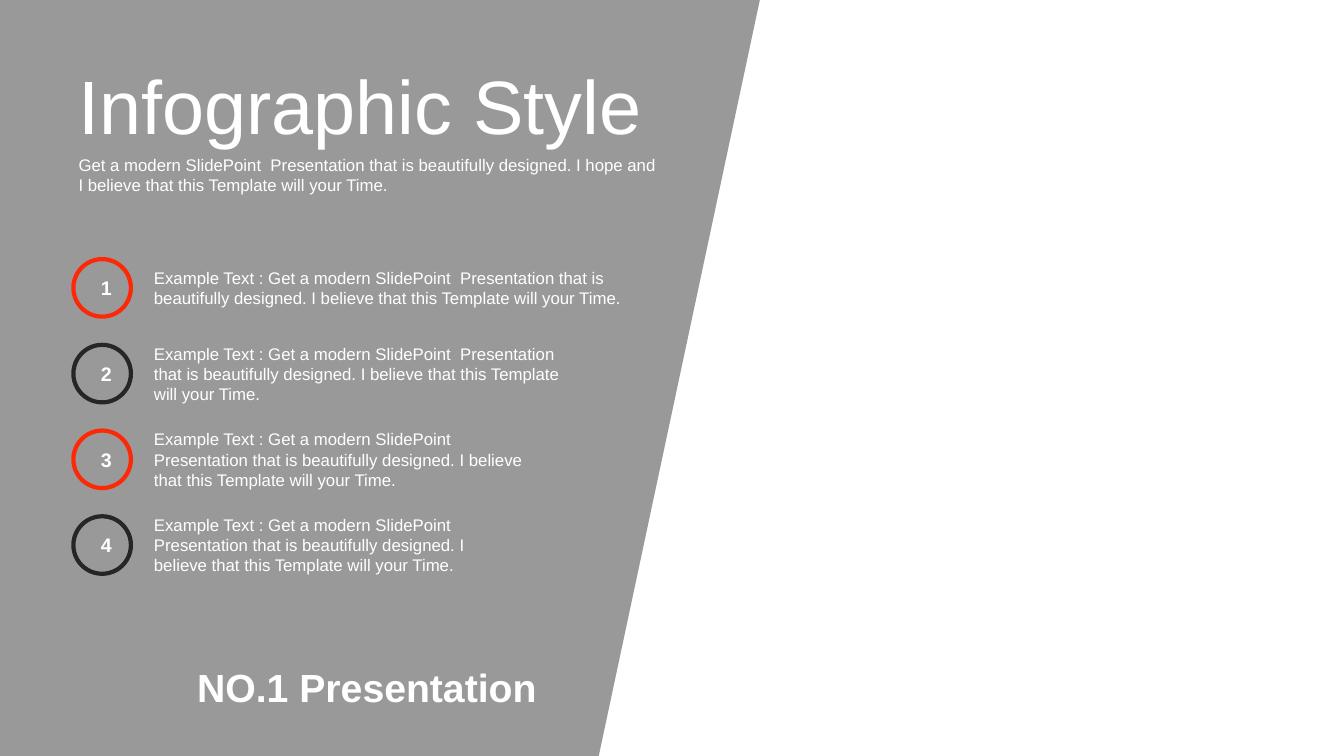
from lxml.etree import SubElement
from pptx import Presentation
from pptx.dml.color import RGBColor
from pptx.enum.shapes import MSO_SHAPE
from pptx.enum.text import MSO_ANCHOR, MSO_AUTO_SIZE, PP_ALIGN
from pptx.oxml.ns import qn
from pptx.util import Cm, Pt

FONT = "Arial"
WHITE, BLACK, RED, DARK = "FFFFFF", "000000", "FD2906", "262626"
INTRO = ("Get a modern SlidePoint  Presentation that is beautifully designed. "
         "I hope and I believe that this Template will your Time.")
EXAMPLE = ("Example Text : Get a modern SlidePoint  Presentation that is "
           "beautifully designed. I believe that this Template will your Time.")
# Ring colour, text width and text height of each item, in centimetres
ITEMS = [(RED, 12.42, 1.27), (DARK, 11.18, 1.8), (RED, 9.88, 1.8), (DARK, 8.97, 1.8)]


def colour(hex_string):
    return RGBColor.from_string(hex_string)


def write_text(shape, text, size, bold=False, align=PP_ALIGN.LEFT, anchor=MSO_ANCHOR.TOP):
    frame = shape.text_frame
    frame.text = text
    frame.word_wrap = True
    frame.auto_size = MSO_AUTO_SIZE.SHAPE_TO_FIT_TEXT
    frame.vertical_anchor = anchor
    paragraph = frame.paragraphs[0]
    paragraph.alignment = align
    paragraph.font.name = FONT
    paragraph.font.size = Pt(size)
    paragraph.font.bold = bold
    paragraph.font.color.rgb = colour(WHITE)


def add_text(slide, left, top, width, height, text, size, **style):
    box = slide.shapes.add_textbox(Cm(left), Cm(top), Cm(width), Cm(height))
    write_text(box, text, size, **style)
    return box


def add_panel(slide, top_width, bottom_width, height):
    builder = slide.shapes.build_freeform(0, 0)
    builder.add_line_segments([(Cm(top_width), 0), (Cm(bottom_width), Cm(height)),
                               (0, Cm(height))], close=True)
    panel = builder.convert_to_shape()
    panel.shadow.inherit = False
    panel.line.fill.background()
    panel.fill.solid()
    panel.fill.fore_color.rgb = colour(BLACK)
    # Make the fill 40% opaque and put the panel behind the title
    fill_colour = panel.element.spPr.find(".//" + qn("a:srgbClr"))
    SubElement(fill_colour, qn("a:alpha"), val="40000")
    slide.shapes.element.insert(2, panel.element)


def add_heading(slide, left, top, width):
    title = slide.shapes.title
    title.left, title.top, title.width, title.height = Cm(left), Cm(top), Cm(width), Cm(2.57)
    write_text(title, "Infographic Style", 54, anchor=MSO_ANCHOR.MIDDLE)
    add_text(slide, left, top + 2.43, 15.21, 1.27, INTRO, 12)


def add_item(slide, left, top, number, ring_colour, text_width, text_height):
    diameter = 1.45
    middle = top + diameter / 2

    # Ring
    ring = slide.shapes.add_shape(MSO_SHAPE.OVAL, Cm(left), Cm(top), Cm(diameter), Cm(diameter))
    ring.shadow.inherit = False
    ring.fill.background()
    ring.line.color.rgb = colour(ring_colour)
    ring.line.width = Pt(3)

    # Description
    add_text(slide, left + 1.78, middle - text_height / 2, text_width, text_height,
             EXAMPLE, 12, anchor=MSO_ANCHOR.MIDDLE)

    # Number
    label = add_text(slide, left + 0.44, middle - 0.3, 0.56, 0.6, str(number), 14,
                     bold=True, align=PP_ALIGN.CENTER, anchor=MSO_ANCHOR.MIDDLE)
    label.text_frame.margin_top = label.text_frame.margin_bottom = 0


def add_items(slide, left, top, pitch):
    for index, item in enumerate(ITEMS):
        add_item(slide, left, top + index * pitch, index + 1, *item)


def main():
    presentation = Presentation()
    presentation.slide_width, presentation.slide_height = Cm(33.87), Cm(19.05)
    slide = presentation.slides.add_slide(presentation.slide_layouts[5])

    add_panel(slide, 19.15, 15.09, 19.05)
    add_heading(slide, 1.73, 1.35, 17.2)
    add_items(slide, 1.85, 6.53, 2.16)
    # Closing line
    add_text(slide, 3.99, 16.59, 9.78, 1.45, "NO.1 Presentation", 28,
             bold=True, align=PP_ALIGN.RIGHT)

    presentation.save("out.pptx")


if __name__ == "__main__":
    main()
